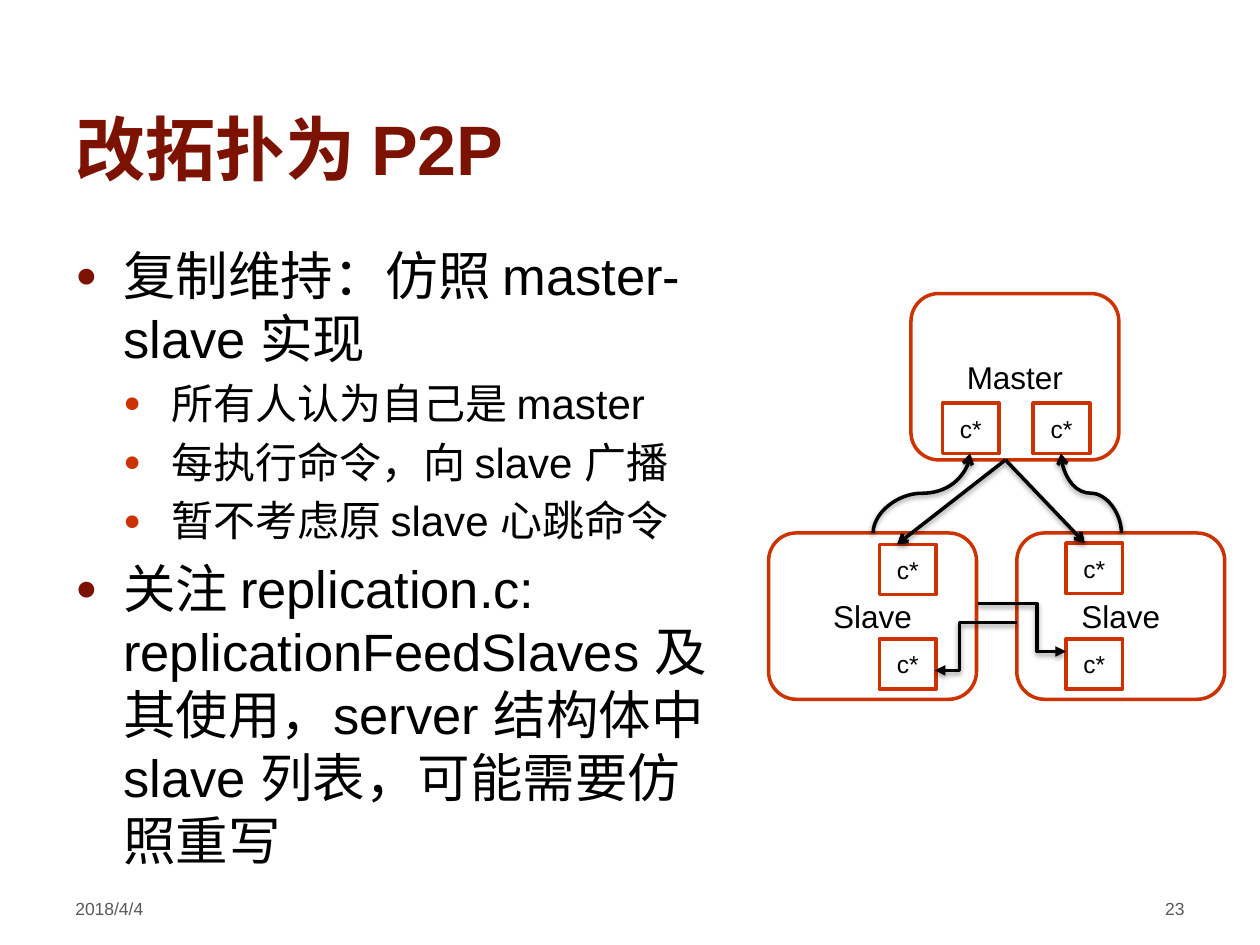
from lxml import etree
from pptx import Presentation
from pptx.dml.color import RGBColor
from pptx.enum.shapes import MSO_CONNECTOR, MSO_SHAPE
from pptx.enum.text import MSO_ANCHOR, PP_ALIGN
from pptx.oxml import parse_xml
from pptx.oxml.ns import qn
from pptx.util import Inches, Pt

LEFT, CENTER, RIGHT = PP_ALIGN.LEFT, PP_ALIGN.CENTER, PP_ALIGN.RIGHT
TOP, MIDDLE, BOTTOM = MSO_ANCHOR.TOP, MSO_ANCHOR.MIDDLE, MSO_ANCHOR.BOTTOM
STRAIGHT, ELBOW, CURVE = MSO_CONNECTOR.STRAIGHT, MSO_CONNECTOR.ELBOW, MSO_CONNECTOR.CURVE
ROUNDED, RECT = MSO_SHAPE.ROUNDED_RECTANGLE, MSO_SHAPE.RECTANGLE

THEME = {
    "font": "Arial", "title": "7C1302", "accent": "CC3300", "ink": "000000",
    "muted": "595959", "paper": "FFFFFF", "line": 2,
    "title_size": 40, "body_sizes": (30, 24), "node_size": 18,
    "client_size": 14, "footer_size": 10,
}
SHADOW = (
    '<a:effectLst xmlns:a="http://schemas.openxmlformats.org/drawingml/2006/main">'
    '<a:outerShdw blurRad="39370" dist="20320" dir="5400000" rotWithShape="0">'
    '<a:srgbClr val="000000"><a:alpha val="38000"/></a:srgbClr>'
    '</a:outerShdw></a:effectLst>'
)

prs = Presentation()
prs.slide_width, prs.slide_height = Inches(10), Inches(7.5)
slide = prs.slides.add_slide(prs.slide_layouts[6])
shapes = slide.shapes


def write(holder, lines, size, color, align=LEFT, anchor=TOP, bold=False):
    frame = holder.text_frame
    frame.word_wrap = True
    frame.vertical_anchor = anchor
    frame.text = "\n".join(lines)
    for paragraph in frame.paragraphs:
        paragraph.alignment = align
        font = paragraph.runs[0].font
        font.name, font.size, font.bold = THEME["font"], Pt(size), bold
        font.color.rgb = RGBColor.from_string(color)
    return frame


def connect(kind, start, end, head, bend=None):
    (x1, y1), (x2, y2) = start, end
    if kind == CURVE:
        # A curve leaves upwards: lay it out sideways, then turn it by 270 degrees
        cx, cy = (x1 + x2) / 2, (y1 + y2) / 2
        x1, y1, x2, y2 = cx - (y1 - cy), cy + (x1 - cx), cx - (y2 - cy), cy + (x2 - cx)
    link = shapes.add_connector(kind, Inches(x1), Inches(y1), Inches(x2), Inches(y2))
    if kind == CURVE:
        link.rotation = 270 if hasattr(link, "rotation") else 0
        link._element.spPr.find(qn("a:xfrm")).set("rot", str(270 * 60000))
    if bend is not None:
        guides = link._element.spPr.find(qn("a:prstGeom")).get_or_add_avLst()
        etree.SubElement(guides, qn("a:gd"), name="adj1", fmla=f"val {round(bend * 100000)}")
    link.line.width = Pt(THEME["line"])
    link.line.color.rgb = RGBColor.from_string(THEME["ink"])
    etree.SubElement(link.line._get_or_add_ln(), qn("a:tailEnd"), type=head)
    link._element.spPr.append(parse_xml(SHADOW))


# Title
title = shapes.add_textbox(Inches(0.5), Inches(0.13), Inches(8.25), Inches(1.42))
write(title, ["改拓扑为 P2P"], THEME["title_size"], THEME["title"], anchor=BOTTOM, bold=True)

# Bulleted notes: level and wording
notes = [
    (0, "复制维持：仿照 master-slave 实现"),
    (1, "所有人认为自己是 master"),
    (1, "每执行命令，向 slave 广播"),
    (1, "暂不考虑原 slave 心跳命令"),
    (0, "关注 replication.c: replicationFeedSlaves 及其使用，server 结构体中 slave 列表，可能需要仿照重写"),
]
body = shapes.add_textbox(Inches(0.5), Inches(1.88), Inches(5.38), Inches(5.16))
body_frame = write(body, [wording for _, wording in notes], THEME["body_sizes"][0], THEME["ink"])
for paragraph, (level, _) in zip(body_frame.paragraphs, notes):
    size = THEME["body_sizes"][level]
    paragraph.level = level
    paragraph.runs[0].font.size = Pt(size)
    paragraph.space_before = Pt(size * 0.2)
    props = paragraph._p.get_or_add_pPr()
    props.set("marL", str(Inches(0.38 * (level + 1))))
    props.set("indent", str(Inches(-0.38)))
    bullet_color = etree.SubElement(props, qn("a:buClr"))
    etree.SubElement(bullet_color, qn("a:srgbClr"), val=THEME[("title", "accent")[level]])
    etree.SubElement(props, qn("a:buSzPct"), val="70000")
    etree.SubElement(props, qn("a:buFont"), typeface=THEME["font"])
    etree.SubElement(props, qn("a:buChar"), char="●")

# Date and slide number
for left, wording, align in [(0.5, "2018/4/4", LEFT), (7.17, "23", RIGHT)]:
    footer = shapes.add_textbox(Inches(left), Inches(7.08), Inches(2.33), Inches(0.39))
    write(footer, [wording], THEME["footer_size"], THEME["muted"], align)

# Servers, then the clients inside them
NODE, CLIENT = (1.65, 1.32), (0.45, 0.4)
servers = [("Master", 7.23, 2.33), ("Slave", 8.07, 4.23), ("Slave", 6.1, 4.23)]
clients = [(7.48, 3.2), (8.2, 3.2), (8.46, 4.31), (6.98, 4.32), (8.46, 5.07), (6.98, 5.07)]
boxes = [(ROUNDED, name, x, y, NODE, THEME["node_size"]) for name, x, y in servers]
boxes += [(RECT, "c*", x, y, CLIENT, THEME["client_size"]) for x, y in clients]
for outline, name, x, y, (width, height), size in boxes:
    box = shapes.add_shape(outline, Inches(x), Inches(y), Inches(width), Inches(height))
    box.shadow.inherit = False
    box.fill.solid()
    box.fill.fore_color.rgb = RGBColor.from_string(THEME["paper"])
    box.line.color.rgb = RGBColor.from_string(THEME["accent"])
    box.line.width = Pt(THEME["line"])
    write(box, [name], size, THEME["ink"], CENTER, MIDDLE)

# Links between servers
links = [
    (STRAIGHT, (7.98, 3.65), (8.61, 4.31), "arrow", None),
    (STRAIGHT, (7.98, 3.65), (7.12, 4.32), "arrow", None),
    (CURVE, (6.93, 4.23), (7.7, 3.6), "arrow", None),
    (CURVE, (8.9, 4.23), (8.42, 3.6), "arrow", None),
    (ELBOW, (7.76, 4.79), (8.46, 5.17), "triangle", 0.67),
    (ELBOW, (8.07, 4.94), (7.42, 5.32), "triangle", 0.7),
]
for link in links:
    connect(*link)

prs.save("out.pptx")
